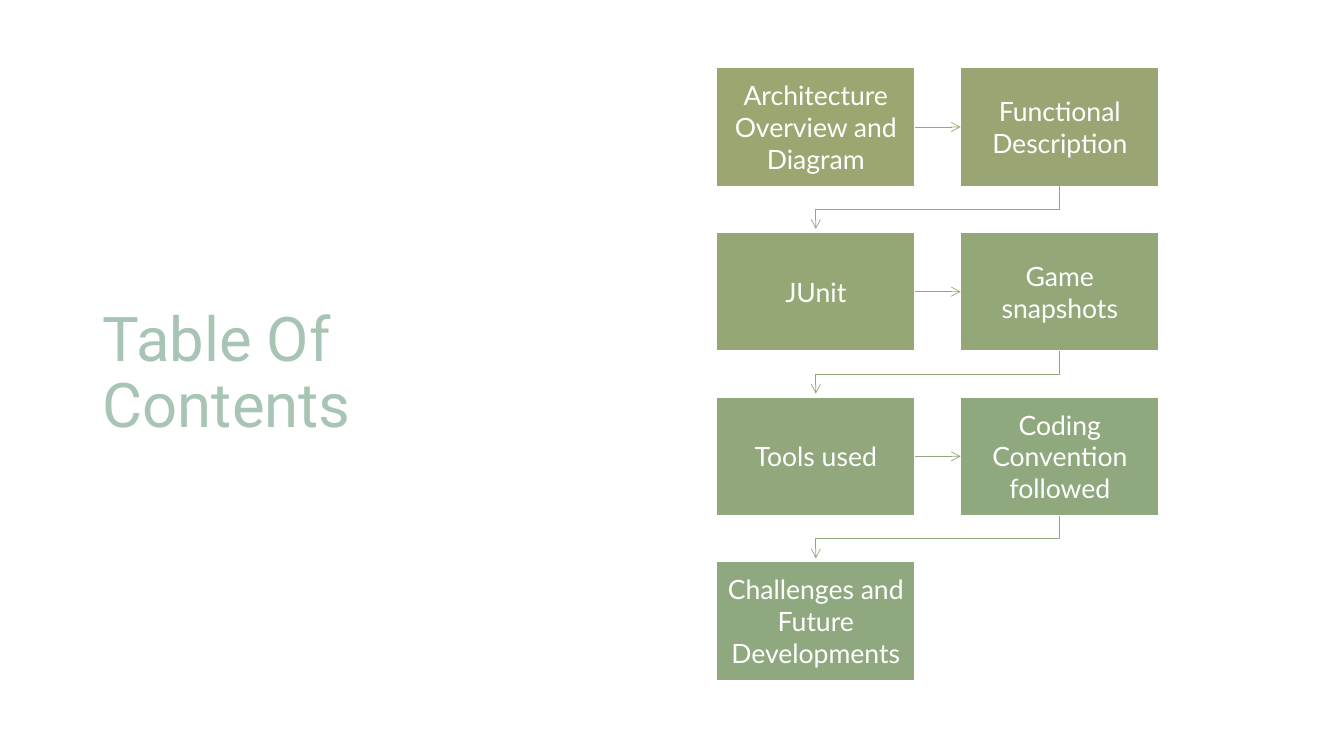
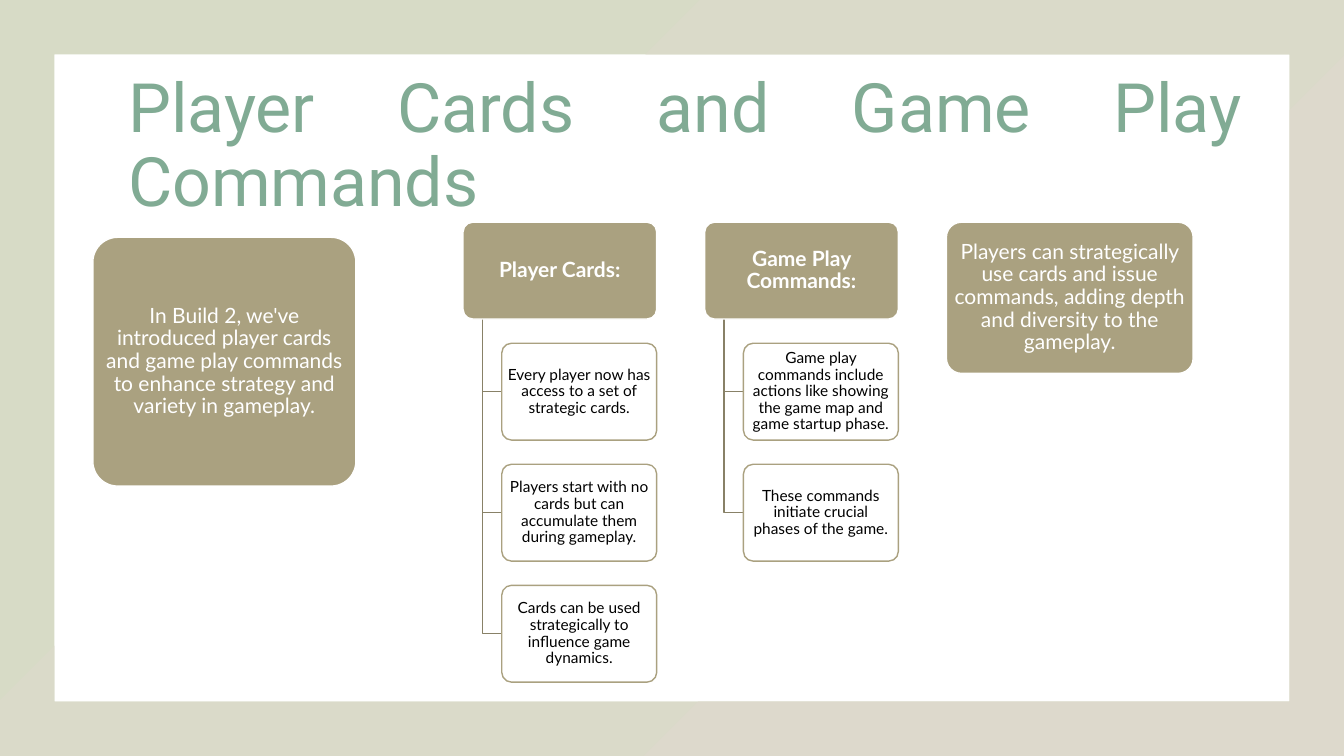
import pptx
import pptx.dml.color
import pptx.enum.shapes
import pptx.enum.text
import pptx.oxml.ns
import pptx.util
from lxml import etree

Cm = pptx.util.Cm
Pt = pptx.util.Pt
RGBColor = pptx.dml.color.RGBColor
MSO_SHAPE = pptx.enum.shapes.MSO_SHAPE
MSO_CONNECTOR = pptx.enum.shapes.MSO_CONNECTOR
PP_ALIGN = pptx.enum.text.PP_ALIGN
MSO_ANCHOR = pptx.enum.text.MSO_ANCHOR
qn = pptx.oxml.ns.qn

SLIDE_WIDTH, SLIDE_HEIGHT = Cm(33.87), Cm(19.05)
TITLE_FONT, BODY_FONT = "Roboto", "Lato"

WHITE = RGBColor(0xFF, 0xFF, 0xFF)
BLACK = RGBColor(0x00, 0x00, 0x00)
SAGE = RGBColor(0x81, 0xAB, 0x94)
PALE_SAGE = RGBColor(0xA7, 0xC4, 0xB4)
KHAKI = RGBColor(0xAA, 0xA1, 0x80)
BRANCH = RGBColor(0x88, 0x81, 0x67)
FRAME_START = RGBColor(0xD7, 0xDB, 0xC6)
FRAME_END = RGBColor(0xDD, 0xD9, 0xCC)

CONTENTS = [
    ("Architecture Overview and Diagram", RGBColor(0x9C, 0xA6, 0x71)),
    ("Functional Description", RGBColor(0x99, 0xA6, 0x74)),
    ("JUnit", RGBColor(0x96, 0xA7, 0x76)),
    ("Game snapshots", RGBColor(0x94, 0xA7, 0x79)),
    ("Tools used", RGBColor(0x92, 0xA7, 0x7B)),
    ("Coding Convention followed", RGBColor(0x90, 0xA8, 0x7E)),
    ("Challenges and Future Developments", RGBColor(0x8F, 0xA8, 0x80)),
]
INTRODUCTION = ("In Build 2, we've introduced player cards and game play commands "
                "to enhance strategy and variety in gameplay.")
TOPICS = [
    ("Player Cards:", [
        "Every player now has access to a set of strategic cards.",
        "Players start with no cards but can accumulate them during gameplay.",
        "Cards can be used strategically to influence game dynamics.",
    ]),
    ("Game Play Commands:", [
        "Game play commands include actions like showing the game map "
        "and game startup phase.",
        "These commands initiate crucial phases of the game.",
    ]),
]
SUMMARY = ("Players can strategically use cards and issue commands, "
           "adding depth and diversity to the gameplay.")


def write_text(shape, text, size, color, font=BODY_FONT, bold=False, align=PP_ALIGN.CENTER,
               line_spacing=0.9, indent=0, margins=(0.25, 0.13)):
    """Fill a shape with one paragraph; margins are (horizontal, vertical) in cm."""
    frame = shape.text_frame
    frame.word_wrap = True
    frame.vertical_anchor = MSO_ANCHOR.MIDDLE
    frame.margin_left = frame.margin_right = Cm(margins[0])
    frame.margin_top = frame.margin_bottom = Cm(margins[1])
    paragraph = frame.paragraphs[0]
    paragraph.alignment = align
    paragraph.line_spacing = line_spacing
    if indent:
        paragraph_properties = paragraph._p.get_or_add_pPr()
        paragraph_properties.set("marL", str(indent))
        paragraph_properties.set("indent", "0")
    run = paragraph.add_run()
    run.text = text
    run.font.name = font
    run.font.size = Pt(size)
    run.font.bold = bold
    run.font.color.rgb = color


def add_title(slide, text, left, top, width, height, **text_format):
    title = slide.shapes.add_textbox(left, top, width, height)
    write_text(title, text, font=TITLE_FONT, **text_format)


def add_box(slide, kind, left, top, width, height, fill, line=WHITE):
    box = slide.shapes.add_shape(kind, left, top, width, height)
    box.shadow.inherit = False
    box.fill.solid()
    box.fill.fore_color.rgb = fill
    box.line.color.rgb = line
    box.line.width = Pt(1)
    return box


def add_card(slide, text, left, top, width, height, fill=KHAKI, line=WHITE,
             size=15, color=WHITE, bold=False):
    card = add_box(slide, MSO_SHAPE.ROUNDED_RECTANGLE, left, top, width, height, fill, line)
    card.adjustments[0] = 0.1
    write_text(card, text, size=size, color=color, bold=bold, margins=(0.07, 0.05))


def style_line(shape, color, width, arrow=False):
    shape.line.color.rgb = color
    shape.line.width = Pt(width)
    if arrow:
        etree.SubElement(shape.line._get_or_add_ln(), qn("a:tailEnd"), type="arrow")


def add_polyline(slide, points, color, width, arrow=False):
    builder = slide.shapes.build_freeform(*points[0])
    builder.add_line_segments(points[1:], close=False)
    polyline = builder.convert_to_shape()
    polyline.shadow.inherit = False
    polyline.fill.background()
    style_line(polyline, color, width, arrow)


def add_straight_arrow(slide, source, target, color):
    """Join the right side of source to the left side of target."""
    connector = slide.shapes.add_connector(MSO_CONNECTOR.STRAIGHT, 0, 0, 0, 0)
    connector.begin_connect(source, 3)
    connector.end_connect(target, 1)
    style_line(connector, color, 0.5, arrow=True)
    etree.SubElement(connector._element.spPr, qn("a:effectLst"))


def add_return_arrow(slide, source, target, color):
    """Lead from the bottom of source round to the top of target, a row below."""
    start_x = source.left + source.width // 2
    end_x = target.left + target.width // 2
    start_y = source.top + source.height
    middle_y = (start_y + target.top) // 2
    add_polyline(slide, [(start_x, start_y), (start_x, middle_y), (end_x, middle_y),
                         (end_x, target.top - Cm(0.08))], color, 0.5, arrow=True)


def add_process(slide, left, top, items, columns=2):
    """Lay boxes out row by row and chain them with arrows."""
    width, height, gap = Cm(5), Cm(3), Cm(1.15)
    boxes = []
    for index, (text, color) in enumerate(items):
        row, column = divmod(index, columns)
        box = add_box(slide, MSO_SHAPE.RECTANGLE, left + column * (width + gap),
                      top + row * (height + gap), width, height, color)
        write_text(box, text, size=19, color=WHITE, line_spacing=1.0, margins=(0.25, 0.25))
        boxes.append(box)
    for index, (source, target) in enumerate(zip(boxes, boxes[1:])):
        row_ends = index % columns == columns - 1
        add_arrow = add_return_arrow if row_ends else add_straight_arrow
        add_arrow(slide, source, target, items[index][1])


def add_topic(slide, left, top, width, height, heading, details):
    """Place a heading card with its details hanging from a line below it."""
    trunk_x = left + width // 10
    detail_left = left + width // 5
    pitch = int(height * 1.25)
    for number, detail in enumerate(details, start=1):
        detail_top = top + number * pitch
        middle_y = detail_top + height // 2
        add_polyline(slide, [(trunk_x, top + height), (trunk_x, middle_y),
                             (detail_left, middle_y)], BRANCH, 1)
        add_card(slide, detail, detail_left, detail_top, int(width * 0.8), height,
                 fill=WHITE, line=KHAKI, size=11, color=BLACK)
    add_card(slide, heading, left, top, width, height, bold=True)


def add_frame(slide):
    frame = slide.shapes.add_shape(MSO_SHAPE.FRAME, 0, 0, SLIDE_WIDTH, SLIDE_HEIGHT)
    frame.adjustments[0] = 0.072
    frame.shadow.inherit = False
    frame.line.fill.background()
    frame.fill.gradient()
    frame.fill.gradient_angle = 315
    for stop, color in zip(frame.fill.gradient_stops, (FRAME_START, FRAME_END)):
        stop.color.rgb = color


def build_contents_slide(slide):
    add_title(slide, "Table Of Contents", Cm(2.34), Cm(1.7), Cm(12.34), Cm(15.47),
              size=44, color=PALE_SAGE, align=PP_ALIGN.LEFT)
    add_process(slide, Cm(18.06), Cm(1.7), CONTENTS)


def build_commands_slide(slide):
    add_frame(slide)
    add_title(slide, "Player Cards and Game Play Commands",
              Cm(2.34), Cm(1.88), Cm(29.21), Cm(3.68),
              size=48.6, color=SAGE, align=PP_ALIGN.JUSTIFY, indent=Cm(0.64))
    add_card(slide, INTRODUCTION, Cm(2.34), Cm(5.98), Cm(6.63), Cm(6.27))
    left, top, pitch = Cm(11.67), Cm(5.6), Cm(6.09)
    for column, (heading, details) in enumerate(TOPICS):
        add_topic(slide, left + column * pitch, top, Cm(4.88), Cm(2.44), heading, details)
    add_card(slide, SUMMARY, left + len(TOPICS) * pitch, top, Cm(6.22), Cm(3.81))


def main():
    presentation = pptx.Presentation()
    presentation.slide_width, presentation.slide_height = SLIDE_WIDTH, SLIDE_HEIGHT
    blank_layout = presentation.slide_layouts[6]
    for build_slide in (build_contents_slide, build_commands_slide):
        build_slide(presentation.slides.add_slide(blank_layout))
    presentation.save("out.pptx")


if __name__ == "__main__":
    main()
